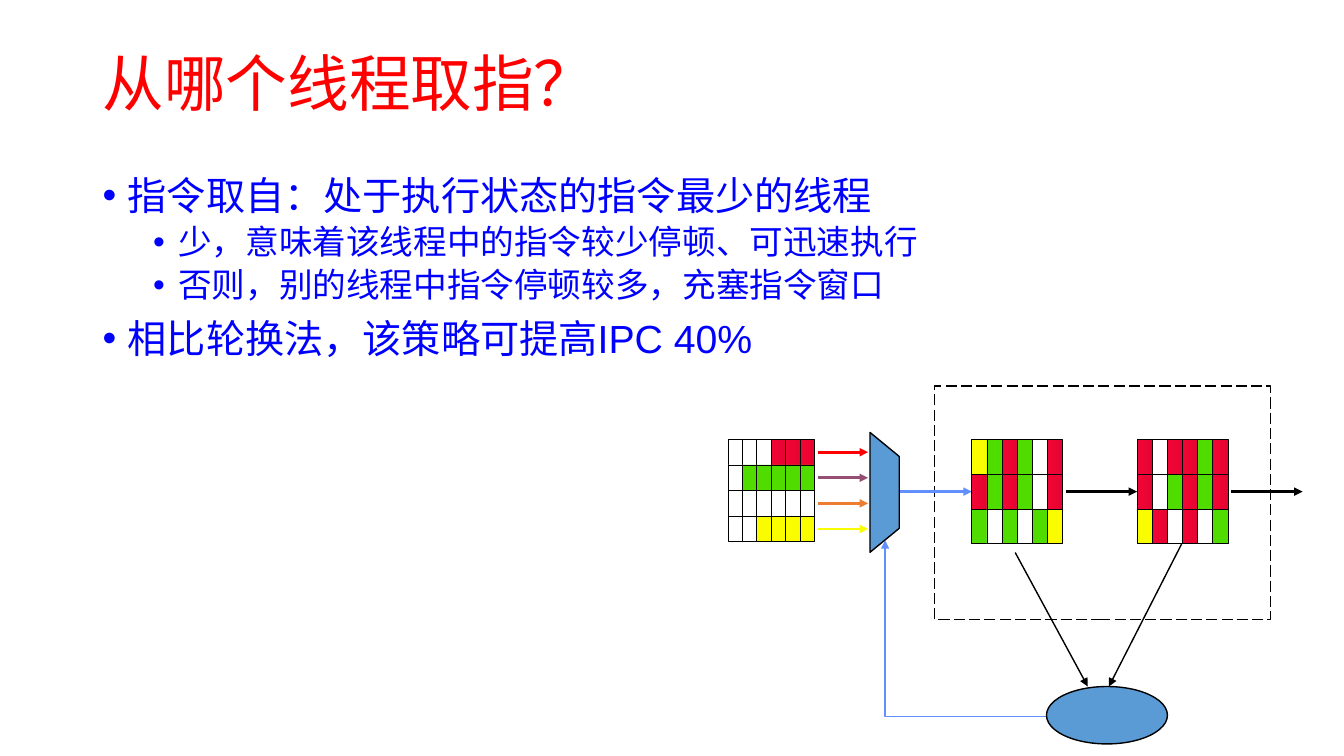
from lxml import etree
from pptx import Presentation
from pptx.dml.color import RGBColor
from pptx.enum.dml import MSO_LINE
from pptx.enum.shapes import MSO_CONNECTOR, MSO_SHAPE
from pptx.enum.text import MSO_ANCHOR
from pptx.oxml.ns import qn
from pptx.util import Inches, Pt

RECT, OVAL = MSO_SHAPE.RECTANGLE, MSO_SHAPE.OVAL
MUX = MSO_SHAPE.FLOWCHART_MANUAL_OPERATION
LINE, ELBOW = MSO_CONNECTOR.STRAIGHT, MSO_CONNECTOR.ELBOW
MIDDLE, DASH = MSO_ANCHOR.MIDDLE, MSO_LINE.LONG_DASH
FONT = "Arial"
WIDE, HIGH = Inches(13.33), Inches(7.5)
COLS, ROWS = 38.07, 8.75
HEX = {
    "title": "FF0000", "text": "0000FF", "black": "000000", "blue": "5B9BD5",
    "flow": "618FFD", "first": "FF0000", "second": "954F72",
    "third": "ED7D31", "fourth": "FAFD00",
    "W": "FFFFFF", "G": "51DC00", "Y": "FAFD00", "R": "F10534", "dark": "E60532",
}
THREADS = ["WWWRRR", "WGGGGG", "WWWWWW", "WWYYYY"]
STAGES = [["YGRGWR", "RGRGWR", "GWGWGY"], ["RWRRGR", "RWGRGR", "YRWRWG"]]
POINTS = [
    (0, "指令取自：处于执行状态的指令最少的线程"),
    (1, "少，意味着该线程中的指令较少停顿、可迅速执行"),
    (1, "否则，别的线程中指令停顿较多，充塞指令窗口"),
    (0, "相比轮换法，该策略可提高IPC 40%"),
]


def color(name):
    """Look up a named colour."""
    return RGBColor.from_string(HEX[name])


def share(x, y, w, h):
    """Turn percentages of the slide into a box."""
    return tuple(int(side * part / 100)
                 for side, part in zip((WIDE, HIGH, WIDE, HIGH), (x, y, w, h)))


def write(para, text, size, name):
    """Add one run of text to a paragraph."""
    para.line_spacing = 0.9
    run = para.add_run()
    run.text = text
    run.font.name, run.font.size = FONT, Pt(size)
    run.font.color.rgb = color(name)


def head(slide, box):
    """Place the title in its box."""
    frame = slide.shapes.add_textbox(*box).text_frame
    frame.word_wrap, frame.vertical_anchor = True, MIDDLE
    write(frame.paragraphs[0], "从哪个线程取指？", 44, "title")


def body(slide, box):
    """Place the bullet list in its box."""
    frame = slide.shapes.add_textbox(*box).text_frame
    frame.word_wrap = True
    for i, (level, text) in enumerate(POINTS):
        para = frame.add_paragraph() if i else frame.paragraphs[0]
        para.level = level
        para.space_before = Pt((10, 5)[level] if i else 0)
        props = para._p.get_or_add_pPr()
        props.set("marL", str(Inches(0.25 + 0.5 * level)))
        props.set("indent", str(Inches(-0.25)))
        etree.SubElement(props, qn("a:buFont"), typeface=FONT)
        etree.SubElement(props, qn("a:buChar"), char="•")
        write(para, text, (28, 24)[level], "text")


class Graph:
    """Draw on a grid of columns and rows laid over a box."""

    def __init__(self, slide, box):
        """Fit the grid to the box."""
        self.shapes = slide.shapes
        self.left, self.top, wide, high = box
        self.col, self.row = wide / COLS, high / ROWS

    def spot(self, x, y):
        """Find a grid point on the slide."""
        return int(self.left + x * self.col), int(self.top + y * self.row)

    def shape(self, kind, x, y, w, h, fill=None, width=1):
        """Add an outlined shape."""
        item = self.shapes.add_shape(kind, *self.spot(x, y),
                                     int(w * self.col), int(h * self.row))
        item.shadow.inherit = False
        item.line.color.rgb, item.line.width = color("black"), Pt(width)
        if fill == "R":
            item.fill.gradient()
            item.fill.gradient_angle = 0
            for stop, name in zip(item.fill.gradient_stops, ("R", "dark")):
                stop.color.rgb = color(name)
        elif fill:
            item.fill.solid()
            item.fill.fore_color.rgb = color(fill)
        else:
            item.fill.background()
        return item

    def arrow(self, start, end, name="black", width=1, kind=LINE, tip="tailEnd"):
        """Add a connector with one arrowhead."""
        item = self.shapes.add_connector(kind, *self.spot(*start), *self.spot(*end))
        item.line.color.rgb, item.line.width = color(name), Pt(width)
        etree.SubElement(item.line._get_or_add_ln(), qn("a:" + tip), type="triangle")
        etree.SubElement(item._element.spPr, qn("a:effectLst"))
        return item

    def cells(self, rows, x, w, h):
        """Add a block of coloured slots and return them by row."""
        return [[self.shape(RECT, x + j * w, i * h, w, h, fill, 0.5)
                 for j, fill in enumerate(row)] for i, row in enumerate(rows)]


def fetch(graph):
    """Draw the thread queues, their arrows and the selector."""
    slot = 0.735
    graph.cells(THREADS, 0, 0.955, slot)
    for i, name in enumerate(("first", "second", "third", "fourth")):
        y = (i + 0.5) * slot
        graph.arrow((5.93, y), (9.27, y), name, 2)
    back = graph.arrow((10.4, 2.9), (25.53, 7.97), "flow", 1, ELBOW)
    props = back._element.spPr
    props.find(qn("a:xfrm")).set("rot", "10800000")
    props.find(qn("a:prstGeom")).set("prst", "bentConnector2")
    graph.shape(MUX, 6.4, 1.1, 7.93, 0.84, "blue").rotation = 270


def stages(graph):
    """Draw the pipeline stages and the counter they feed."""
    graph.shape(RECT, 13.67, -1.54, 22.2, 6.72).line.dash_style = DASH
    for i, name in enumerate(("flow", "black", "black")):
        x = 16.13 + 10.94 * i
        line = graph.arrow((x - 4.73, 1.5), (x, 1.5), name, 2)
        if i < len(STAGES):
            block = graph.cells(STAGES[i], x, 1, 1)
            line.end_connect(block[1][0], 1)
    graph.arrow((19, 3.25), (23.8, 7.1))
    graph.arrow((30, 3.01), (25.2, 7.1))
    graph.shape(OVAL, 21.07, 7.1, 8, 1.65, "blue")


def main():
    """Build and save the slide."""
    deck = Presentation()
    deck.slide_width, deck.slide_height = WIDE, HIGH
    slide = deck.slides.add_slide(deck.slide_layouts[6])
    head(slide, share(6.9, 5.33, 86.27, 12.13))
    body(slide, share(6.9, 22.67, 86.27, 74.53))
    graph = Graph(slide, share(54.16, 58.13, 42.83, 40.27))
    fetch(graph)
    stages(graph)
    deck.save("out.pptx")


if __name__ == "__main__":
    main()
